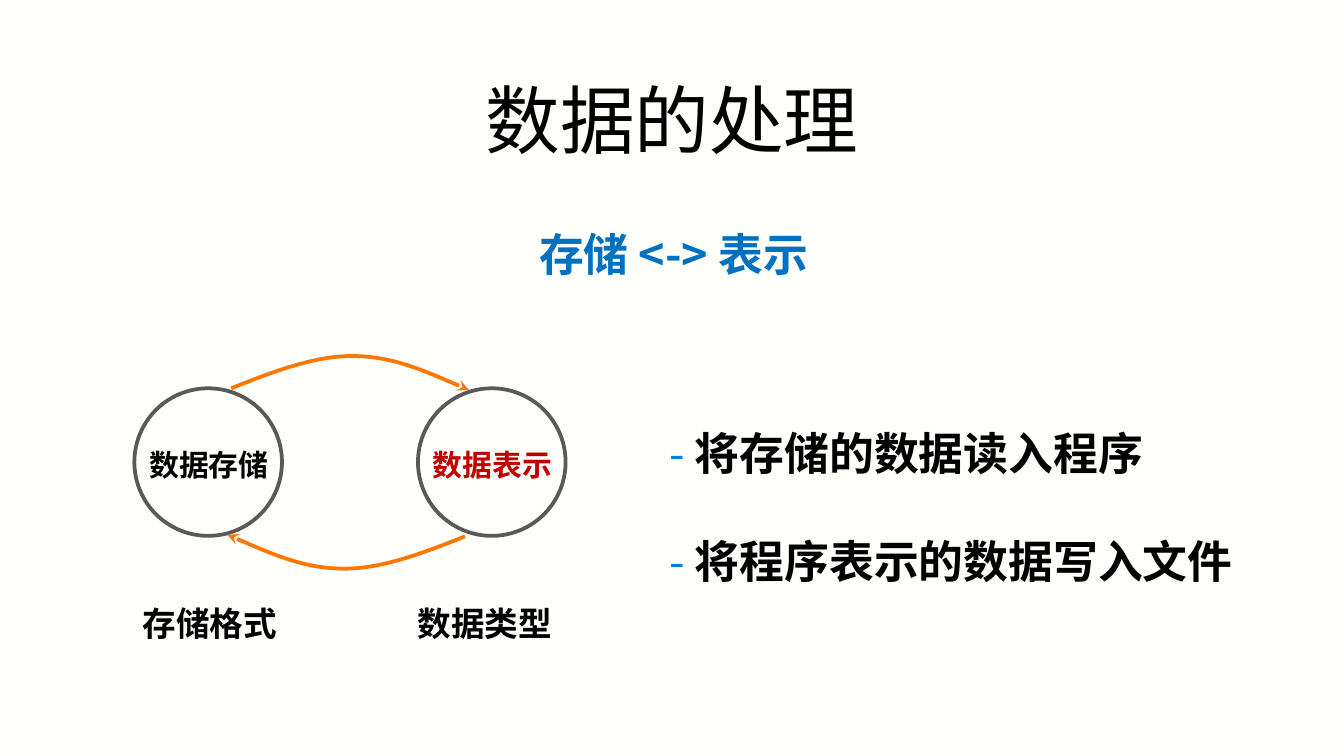
from lxml import etree
from pptx import Presentation
from pptx.dml import color
from pptx.enum import shapes, text
from pptx.oxml import ns
from pptx.util import Cm, Pt

SANS, MONO = "Noto Sans CJK SC", "Noto Sans Mono"
BLACK, BLUE, SKY, RED = "000000", "0070C0", "007FDE", "C00000"
GRAY, ORANGE, PAPER = "595959", "FF7700", "FEFEFA"
MID = text.PP_ALIGN.CENTER


def paint(hue):
    return color.RGBColor.from_string(hue)


def apply(item, form):
    for key, value in form.items():
        setattr(item, key, value)


class Deck:
    def __init__(self, wide, high):
        self.show = Presentation()
        self.show.slide_width, self.show.slide_height = Cm(wide), Cm(high)
        self.slide = self.show.slides.add_slide(self.show.slide_layouts[5])
        fill = self.slide.background.fill
        fill.solid()
        fill.fore_color.rgb = paint(PAPER)

    def phrase(self, para, words, size, hue=BLACK, bold=True, face=SANS):
        run = para.add_run()
        run.text = words
        apply(run.font, {"size": Pt(size), "bold": bold, "name": face})
        run.font.color.rgb = paint(hue)
        east = etree.SubElement(run.font._element, ns.qn("a:ea"))
        east.set("typeface", face)

    def title(self, words, box, size):
        head = self.slide.shapes.title
        apply(head, dict(zip(("left", "top", "width", "height"), map(Cm, box))))
        apply(head.text_frame, {
            "margin_left": 0, "margin_right": 0, "margin_top": 0,
            "margin_bottom": 0, "word_wrap": True,
            "auto_size": text.MSO_AUTO_SIZE.NONE,
            "vertical_anchor": text.MSO_ANCHOR.MIDDLE})
        para = head.text_frame.paragraphs[0]
        apply(para, {"alignment": MID, "line_spacing": 0.7})
        self.phrase(para, words, size, bold=False)

    def label(self, lines, box, size, align=MID, space=1.0, face=SANS):
        frame = self.slide.shapes.add_textbox(*map(Cm, box)).text_frame
        apply(frame, {"word_wrap": True,
                      "auto_size": text.MSO_AUTO_SIZE.SHAPE_TO_FIT_TEXT})
        for num, line in enumerate(lines):
            para = frame.add_paragraph() if num else frame.paragraphs[0]
            apply(para, {"alignment": align, "line_spacing": space})
            for words, hue, bold in line:
                self.phrase(para, words, size, hue, bold, face)

    def outline(self, shape, hue):
        shape.shadow.inherit = False
        shape.fill.background()
        shape.line.color.rgb = paint(hue)
        shape.line.width = Pt(2)

    def circle(self, left, top, size):
        ring = self.slide.shapes.add_shape(
            shapes.MSO_SHAPE.OVAL, Cm(left), Cm(top), Cm(size), Cm(size))
        self.outline(ring, GRAY)

    def curve(self, points):
        start, *rest = [(Cm(x), Cm(y)) for x, y in points]
        form = self.slide.shapes.build_freeform(*start)
        form.add_line_segments(rest, close=False)
        arc = form.convert_to_shape()
        self.outline(arc, ORANGE)
        track = next(arc._element.iter(ns.qn("a:path")))
        steps = track.findall(ns.qn("a:lnTo"))
        for num in range(0, len(steps), 3):
            bend = etree.SubElement(track, ns.qn("a:cubicBezTo"))
            for step in steps[num:num + 3]:
                bend.append(step[0])
                track.remove(step)
        edge = arc._element.spPr.find(ns.qn("a:ln"))
        tip = etree.SubElement(edge, ns.qn("a:tailEnd"))
        tip.set("type", "stealth")

    def save(self):
        self.show.save("out.pptx")


def main():
    deck = Deck(25.4, 14.29)
    deck.title("数据的处理", (0, 1.35, 25.4, 2.21), 40)
    deck.label([[("存储 <-> 表示", BLUE, True)]],
               (0.03, 3.66, 25.4, 1.8), 24, space=1.5)

    nodes = (("数据存储", BLACK, 2.54, "存储格式", 2.29),
             ("数据表示", RED, 7.9, "数据类型", 7.49))
    for name, hue, left, kind, edge in nodes:
        deck.circle(left, 7.34, 2.79)
        deck.label([[(name, hue, True)]], (left - 0.14, 8.31, 3.1, 0.94), 16)
        deck.label([[(kind, BLACK, True)]], (edge, 11.28, 3.35, 1.02), 18,
                   face=MONO)

    read = [(4.37, 7.34), (5.13, 7.04), (5.92, 6.73), (6.65, 6.73),
            (7.42, 6.73), (8.13, 7.06), (8.86, 7.37)]
    deck.curve(read)
    deck.curve([(13.16 - x, 17.48 - y) for x, y in read])

    tasks = ("将存储的数据读入程序", "将程序表示的数据写入文件")
    deck.label([[("- ", SKY, False), (task, BLACK, True)] for task in tasks],
               (12.4, 6.91, 11.61, 4.37), 24, text.PP_ALIGN.LEFT, 2.0)
    deck.save()


if __name__ == "__main__":
    main()
